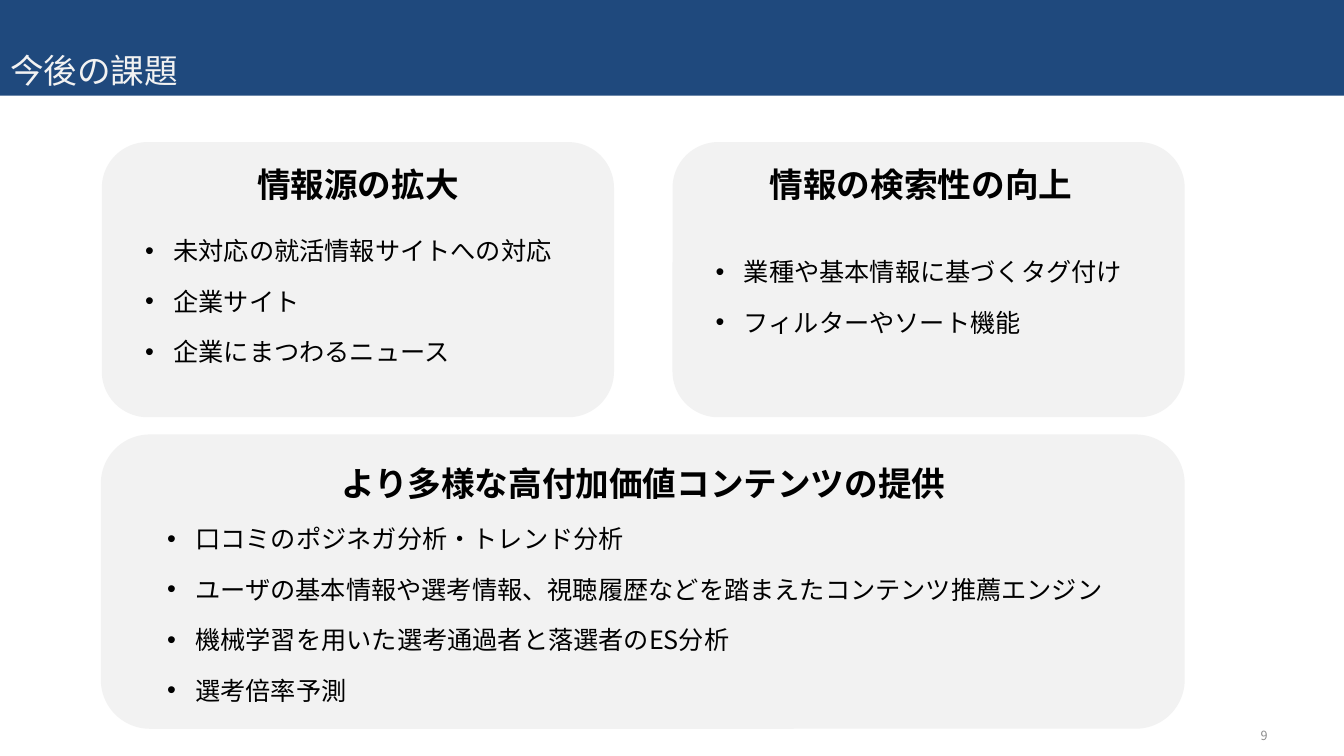
from dataclasses import dataclass

from lxml import etree
from pptx import Presentation
from pptx.dml.color import RGBColor
from pptx.enum.shapes import MSO_SHAPE
from pptx.enum.text import MSO_ANCHOR, MSO_AUTO_SIZE, PP_ALIGN
from pptx.oxml.ns import qn
from pptx.util import Inches, Pt

ROUNDED = MSO_SHAPE.ROUNDED_RECTANGLE
TOP, MIDDLE, BOTTOM = MSO_ANCHOR.TOP, MSO_ANCHOR.MIDDLE, MSO_ANCHOR.BOTTOM
LEFT, CENTER, RIGHT = PP_ALIGN.LEFT, PP_ALIGN.CENTER, PP_ALIGN.RIGHT
FIXED_SIZE = MSO_AUTO_SIZE.NONE


@dataclass(frozen=True)
class Theme:
    font: str = "Noto Sans CJK JP"
    navy: RGBColor = RGBColor(0x1F, 0x49, 0x7D)
    pale: RGBColor = RGBColor(0xF2, 0xF2, 0xF2)
    black: RGBColor = RGBColor(0, 0, 0)
    gray: RGBColor = RGBColor(0x8C, 0x8C, 0x8C)
    heading_size: int = 24
    list_size: int = 18
    number_size: int = 9


THEME = Theme()


@dataclass(frozen=True)
class Area:
    left: float
    top: float
    width: float
    height: float


@dataclass(frozen=True)
class TextStyle:
    size: int
    color: RGBColor
    bold: bool = False
    align: PP_ALIGN = LEFT
    anchor: MSO_ANCHOR = TOP
    wrap: bool = True
    line_points: float | None = None
    gap_points: float = 0
    bullet: bool = False


@dataclass(frozen=True)
class Card:
    area: Area
    heading: str
    heading_area: Area
    items: tuple[str, ...]
    list_area: Area


TITLE_STYLE = TextStyle(THEME.heading_size, THEME.pale, anchor=BOTTOM)
HEADING_STYLE = TextStyle(THEME.heading_size, THEME.black, bold=True, align=CENTER,
                          wrap=False, line_points=30.8)
LIST_STYLE = TextStyle(THEME.list_size, THEME.black, line_points=33.6,
                       gap_points=2.4, bullet=True)
NUMBER_STYLE = TextStyle(THEME.number_size, THEME.gray, align=RIGHT, anchor=MIDDLE)

SOURCES = Card(
    Area(1.01, 1.41, 5.08, 2.73),
    "情報源の拡大", Area(2.44, 1.55, 2.22, 0.5),
    ("未対応の就活情報サイトへの対応", "企業サイト", "企業にまつわるニュース"),
    Area(1.34, 2.12, 4.42, 1.71),
)
SEARCH = Card(
    Area(6.67, 1.41, 5.08, 2.73),
    "情報の検索性の向上", Area(7.52, 1.55, 3.23, 0.5),
    ("業種や基本情報に基づくタグ付け", "フィルターやソート機能"),
    Area(7, 2.33, 4.41, 1.76),
)
CONTENT = Card(
    Area(1, 4.31, 10.75, 2.92),
    "より多様な高付加価値コンテンツの提供", Area(3.25, 4.52, 6.26, 0.5),
    ("口コミのポジネガ分析・トレンド分析",
     "ユーザの基本情報や選考情報、視聴履歴などを踏まえたコンテンツ推薦エンジン",
     "機械学習を用いた選考通過者と落選者のES分析",
     "選考倍率予測"),
    Area(1.56, 4.98, 9.64, 2.12),
)


def bounds(area: Area) -> tuple[int, ...]:
    return tuple(map(Inches, (area.left, area.top, area.width, area.height)))


def place(shape, area: Area) -> None:
    shape.left, shape.top, shape.width, shape.height = bounds(area)


def apply(target, values: dict) -> None:
    for name, value in values.items():
        setattr(target, name, value)


def add_bullet(para) -> None:
    properties = para._p.get_or_add_pPr()
    properties.set("marL", str(Inches(0.28)))
    properties.set("indent", str(Inches(-0.28)))
    etree.SubElement(properties, qn("a:buFont")).set("typeface", "Arial")
    etree.SubElement(properties, qn("a:buChar")).set("char", "•")


def write(shape, lines: tuple[str, ...], style: TextStyle) -> None:
    frame = shape.text_frame
    apply(frame, {"word_wrap": style.wrap, "auto_size": FIXED_SIZE,
                  "vertical_anchor": style.anchor})
    for index, line in enumerate(lines):
        para = frame.add_paragraph() if index else frame.paragraphs[0]
        apply(para, {"alignment": style.align,
                     "space_before": Pt(style.gap_points if index else 0)})
        if style.line_points:
            para.line_spacing = Pt(style.line_points)
        if style.bullet:
            add_bullet(para)
        span = para.add_run()
        span.text = line
        apply(span.font, {"name": THEME.font, "size": Pt(style.size), "bold": style.bold})
        span.font.color.rgb = style.color
        latin = span.font._element.find(qn("a:latin"))
        east_asian = etree.Element(qn("a:ea"))
        east_asian.set("typeface", THEME.font)
        latin.addnext(east_asian)


def add_text(page, area: Area, lines: tuple[str, ...], style: TextStyle) -> None:
    write(page.shapes.add_textbox(*bounds(area)), lines, style)


def add_panel(page, area: Area) -> None:
    """Draw a card background behind the title and body placeholders."""
    panel = page.shapes.add_shape(ROUNDED, *bounds(area))
    panel.shadow.inherit = False
    panel.fill.solid()
    panel.fill.fore_color.rgb = THEME.pale
    panel.line.fill.background()
    page.shapes.title.element.addprevious(panel.element)


def main() -> None:
    deck = Presentation()
    apply(deck, {"slide_width": Inches(13.33), "slide_height": Inches(7.5)})
    page = deck.slides.add_slide(deck.slide_layouts[1])
    title, body = page.placeholders

    place(title, Area(0, 0, 13.33, 0.95))
    title.fill.solid()
    title.fill.fore_color.rgb = THEME.navy
    write(title, ("今後の課題",), TITLE_STYLE)

    for card in (CONTENT, SEARCH, SOURCES):
        add_panel(page, card.area)
    place(body, SOURCES.list_area)
    write(body, SOURCES.items, LIST_STYLE)
    add_text(page, Area(9.56, 7.1, 3.11, 0.4), ("9",), NUMBER_STYLE)
    for card in (CONTENT, SEARCH):
        add_text(page, card.list_area, card.items, LIST_STYLE)
    for card in (SOURCES, SEARCH, CONTENT):
        add_text(page, card.heading_area, (card.heading,), HEADING_STYLE)
    deck.save("out.pptx")


if __name__ == "__main__":
    main()
